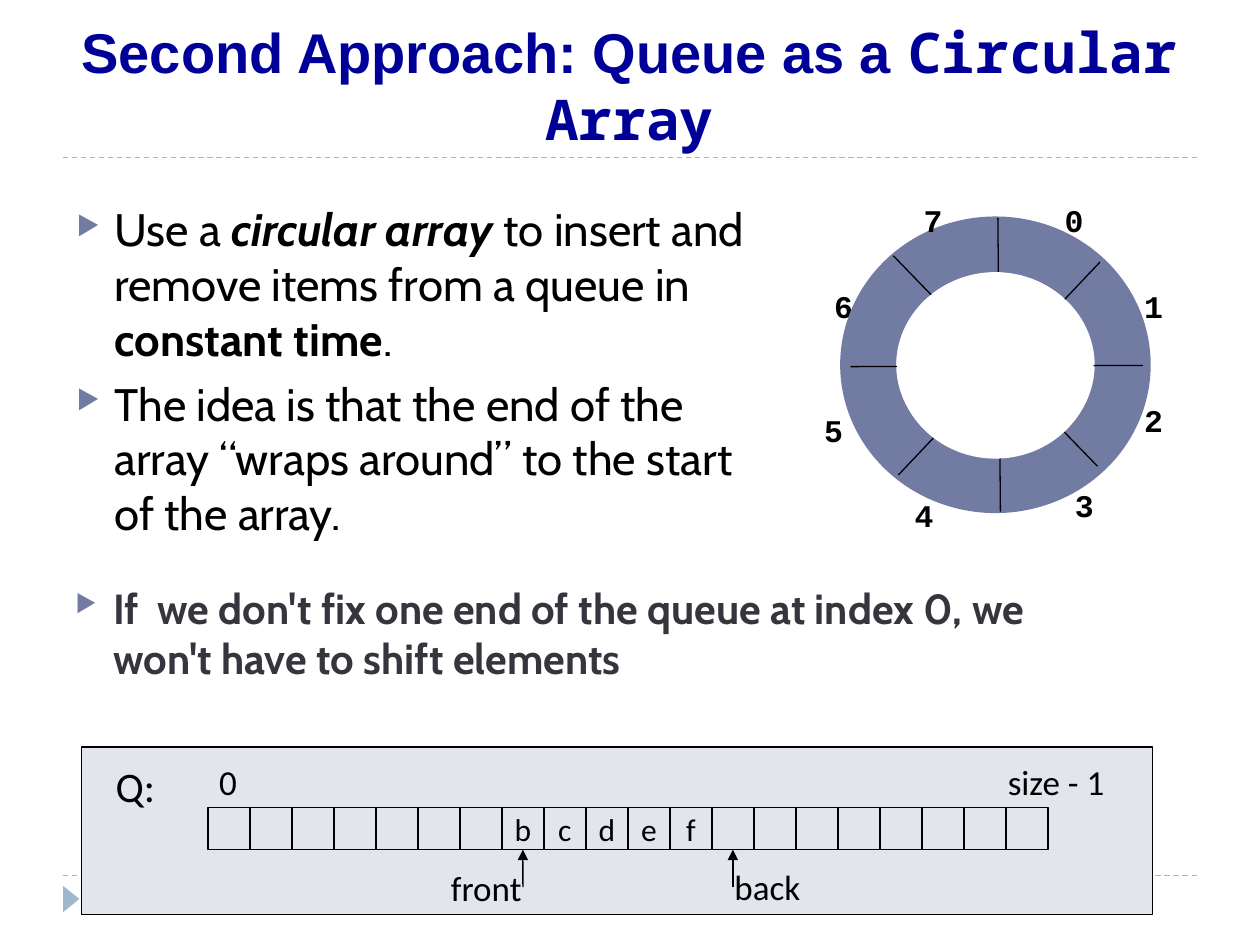
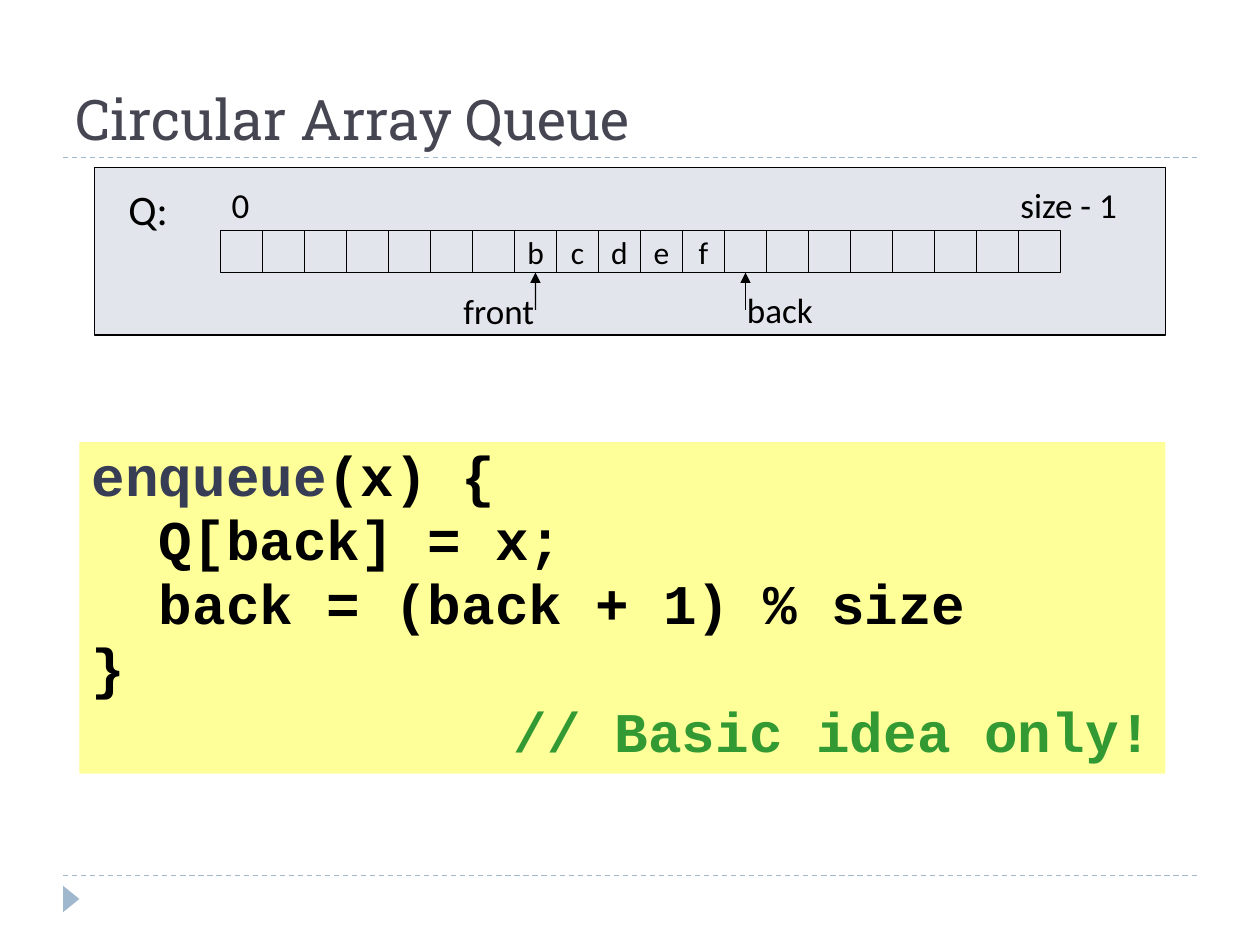
from dataclasses import dataclass
from lxml.etree import SubElement
from pptx import Presentation
from pptx.dml.color import RGBColor
from pptx.enum.dml import MSO_LINE
from pptx.enum.shapes import MSO_CONNECTOR, MSO_SHAPE
from pptx.enum.text import MSO_ANCHOR, MSO_AUTO_SIZE, PP_ALIGN
from pptx.oxml.ns import qn
from pptx.util import Inches, Pt


@dataclass(frozen=True)
class Theme:
    black: str = "000000"
    white: str = "FFFFFF"
    rule: str = "9FB8CD"
    accent: str = "727CA3"
    panel: str = "E3E5ED"
    code_panel: str = "FFFF99"
    code_name: str = "373D54"
    code_comment: str = "339933"
    navy: str = "000099"
    title: str = "464653"
    note: str = "35353E"
    title_size: int = 32
    body_size: int = 26
    note_size: int = 24
    label_size: int = 20
    cell_size: int = 18
    bullet_percent: int = 58
    hairline: float = 0.75
    ring_width: int = 32


THEME = Theme()
BODY = {"name": "Cabin", "size": THEME.body_size, "color": THEME.black}
NOTE = {"name": "Cabin", "size": THEME.note_size, "color": THEME.note, "bold": True}
LABEL = {"name": "Calibri", "size": THEME.label_size, "color": THEME.black}
CELL = {**LABEL, "size": THEME.cell_size}
QUEUE_NAME = {**LABEL, "size": THEME.note_size}
INDEX = {"name": "Courier New", "size": THEME.cell_size, "color": THEME.black, "bold": True}
CODE = {**INDEX, "size": THEME.title_size}
TITLE = {"name": "Roboto Slab", "size": THEME.title_size, "color": THEME.title}
NAVY_TITLE = {**TITLE, "name": "Arial", "color": THEME.navy, "bold": True}


def style_font(font, style):
    for name, value in style.items():
        if name == "color":
            font.color.rgb = RGBColor.from_string(value)
        else:
            setattr(font, name, Pt(value) if name == "size" else value)


def set_indent(paragraph, indent):
    properties = paragraph._p.get_or_add_pPr()
    properties.set("marL", str(Inches(indent)))
    properties.set("indent", str(-Inches(indent)))
    return properties


def add_bullet(paragraph):
    properties = set_indent(paragraph, 0.3)
    color = SubElement(properties, qn("a:buClr"))
    SubElement(color, qn("a:srgbClr"), val=THEME.accent)
    SubElement(properties, qn("a:buSzPct"), val=str(THEME.bullet_percent * 1000))
    SubElement(properties, qn("a:buChar"), char="▶")


def write_text(shape, paragraphs, style, align=PP_ALIGN.LEFT, anchor=MSO_ANCHOR.TOP,
               wrap=True, bullets=False, space_before=0):
    frame = shape.text_frame
    frame.word_wrap = wrap
    frame.vertical_anchor = anchor
    for number, runs in enumerate(paragraphs):
        paragraph = frame.add_paragraph() if number else frame.paragraphs[0]
        if bullets:
            add_bullet(paragraph)
        paragraph.alignment = align
        if number and space_before:
            paragraph.space_before = Pt(space_before)
        for text, changes in runs:
            run = paragraph.add_run()
            run.text = text
            style_font(run.font, {**style, **changes})
    return frame


def add_text(slide, box, paragraphs, style, grow=False, **layout):
    shape = slide.shapes.add_textbox(*map(Inches, box))
    frame = write_text(shape, paragraphs, style, **layout)
    frame.auto_size = MSO_AUTO_SIZE.SHAPE_TO_FIT_TEXT if grow else MSO_AUTO_SIZE.NONE


def add_label(slide, box, text, style=LABEL, **layout):
    add_text(slide, box, [[(text, {})]], style, grow=True, **layout)


def add_shape(slide, kind, box, fill=None, line=None, width=THEME.hairline):
    shape = slide.shapes.add_shape(kind, *map(Inches, box))
    shape.shadow.inherit = False
    if fill:
        shape.fill.solid()
        shape.fill.fore_color.rgb = RGBColor.from_string(fill)
    else:
        shape.fill.background()
    if line:
        shape.line.color.rgb = RGBColor.from_string(line)
        shape.line.width = Pt(width)
    else:
        shape.line.fill.background()
    return shape


def add_line(slide, start, end, color=THEME.black, dash=None):
    connector = slide.shapes.add_connector(MSO_CONNECTOR.STRAIGHT, *map(Inches, start + end))
    connector.line.color.rgb = RGBColor.from_string(color)
    connector.line.width = Pt(THEME.hairline)
    if dash:
        connector.line.dash_style = dash
    SubElement(connector._element.spPr, qn("a:effectLst"))
    return connector


def add_arrow(slide, start, end, cell):
    arrow = add_line(slide, start, end)
    arrow.end_connect(cell, 2)
    SubElement(arrow.line._get_or_add_ln(), qn("a:tailEnd"), type="triangle")


def add_base_slide(presentation):
    slide = presentation.slides.add_slide(presentation.slide_layouts[6])
    for y in (6.95, 1.25):
        add_line(slide, (0.5, y), (9.5, y), THEME.rule, MSO_LINE.DASH)
    marker = add_shape(slide, MSO_SHAPE.ISOSCELES_TRIANGLE, (0.46, 7.07, 0.21, 0.13), THEME.rule)
    marker.rotation = 90
    return slide


def add_index(slide, index, left, top):
    add_label(slide, (left, top, 0.51, 0.4), str(index), INDEX, align=PP_ALIGN.CENTER)


def add_ring(slide):
    positions = [(8.27, 1.55), (8.9, 2.23), (8.9, 3.13), (8.35, 3.81),
                 (7.08, 3.89), (6.36, 3.21), (6.44, 2.23)]
    for index, (left, top) in enumerate(positions):
        add_index(slide, index, left, top)
    add_shape(slide, MSO_SHAPE.OVAL, (6.89, 1.94, 2.02, 1.91),
              line=THEME.accent, width=THEME.ring_width)
    dividers = [((7.92, 1.73), (7.94, 4.06)), ((6.75, 2.91), (9.07, 2.9)),
                ((7.09, 2.03), (8.71, 3.7)), ((8.73, 2.08), (7.13, 3.77))]
    for start, end in dividers:
        add_line(slide, start, end)
    add_shape(slide, MSO_SHAPE.OVAL, (7.12, 2.16, 1.56, 1.48), THEME.white)
    add_index(slide, 7, 7.15, 1.55)


def add_queue(slide, left, top, row_top):
    cell_count, front, items = 20, 7, "bcdef"
    back = front + len(items)
    side = 1 / 3
    row_left = left + 1
    add_shape(slide, MSO_SHAPE.RECTANGLE, (left, top, 8.5, 1.33), THEME.panel, THEME.black)
    cells = []
    for index in range(cell_count):
        cell = add_shape(slide, MSO_SHAPE.RECTANGLE,
                         (row_left + index * side, row_top, side, side), line=THEME.black)
        if front <= index < back:
            write_text(cell, [[(items[index - front], {})]], CELL, align=PP_ALIGN.CENTER,
                       anchor=MSO_ANCHOR.MIDDLE, wrap=False)
        cells.append(cell)
    labels = [("Q:", 0.17, -0.42, 0.58, 0.5, QUEUE_NAME),
              ("0", 0.99, -0.42, 0.36, 0.44, LABEL),
              ("size - 1", 7.25, -0.42, 1.13, 0.44, LABEL),
              ("front", 2.83, 0.42, 0.76, 0.44, LABEL),
              ("back", 5.08, 0.41, 0.79, 0.44, LABEL)]
    for text, x, y, width, height, style in labels:
        add_label(slide, (left + x, row_top + y, width, height), text, style, wrap=False)
    for index in (front, back):
        x = row_left + (index + 0.5) * side
        add_arrow(slide, (x, row_top + 0.63), (x, row_top + side), cells[index])


def add_code(slide):
    panel = add_shape(slide, MSO_SHAPE.RECTANGLE, (0.63, 3.51, 8.62, 2.63), THEME.code_panel)
    lines = [[("enqueue", {"color": THEME.code_name}), ("(x) {", {})],
             [("  Q[back] = x;", {})],
             [("  back = (back + 1) % size", {})],
             [("}", {})],
             [("// Basic idea only!", {"color": THEME.code_comment})]]
    frame = write_text(panel, lines, CODE, space_before=2)
    for paragraph in frame.paragraphs:
        set_indent(paragraph, 0.38)
        paragraph.line_spacing = 0.9
    frame.paragraphs[-1].alignment = PP_ALIGN.RIGHT


def build_approach_slide(presentation):
    slide = add_base_slide(presentation)
    points = [[("Use a ", {}), ("circular array", {"bold": True, "italic": True}),
               (" to insert and remove items from a queue in ", {}),
               ("constant time", {"bold": True}), (".", {})],
              [("The idea is that the end of the array “wraps around” "
                "to the start of the array.", {})]]
    add_text(slide, (0.51, 1.55, 5.56, 2.81), points, BODY, bullets=True, space_before=6)
    add_ring(slide)
    add_queue(slide, 0.65, 5.93, 6.41)
    note = "If  we don't fix one end of the queue at index 0, we won't have to shift elements"
    add_label(slide, (0.5, 4.57, 8.15, 0.91), note, NOTE, bullets=True)
    title = [("Second Approach: Queue as a ", {}), ("Circular Array", {"name": "Noto Sans Mono"})]
    add_text(slide, (0.12, 0.19, 9.75, 0.96), [title], NAVY_TITLE,
             align=PP_ALIGN.CENTER, anchor=MSO_ANCHOR.MIDDLE)


def build_enqueue_slide(presentation):
    slide = add_base_slide(presentation)
    add_text(slide, (0.5, 0.17, 9, 1.08), [[("Circular Array Queue", {})]], TITLE,
             anchor=MSO_ANCHOR.BOTTOM)
    add_queue(slide, 0.75, 1.33, 1.83)
    add_code(slide)


def main():
    presentation = Presentation()
    presentation.slide_width = Inches(10)
    presentation.slide_height = Inches(7.5)
    build_approach_slide(presentation)
    build_enqueue_slide(presentation)
    presentation.save("out.pptx")


if __name__ == "__main__":
    main()
